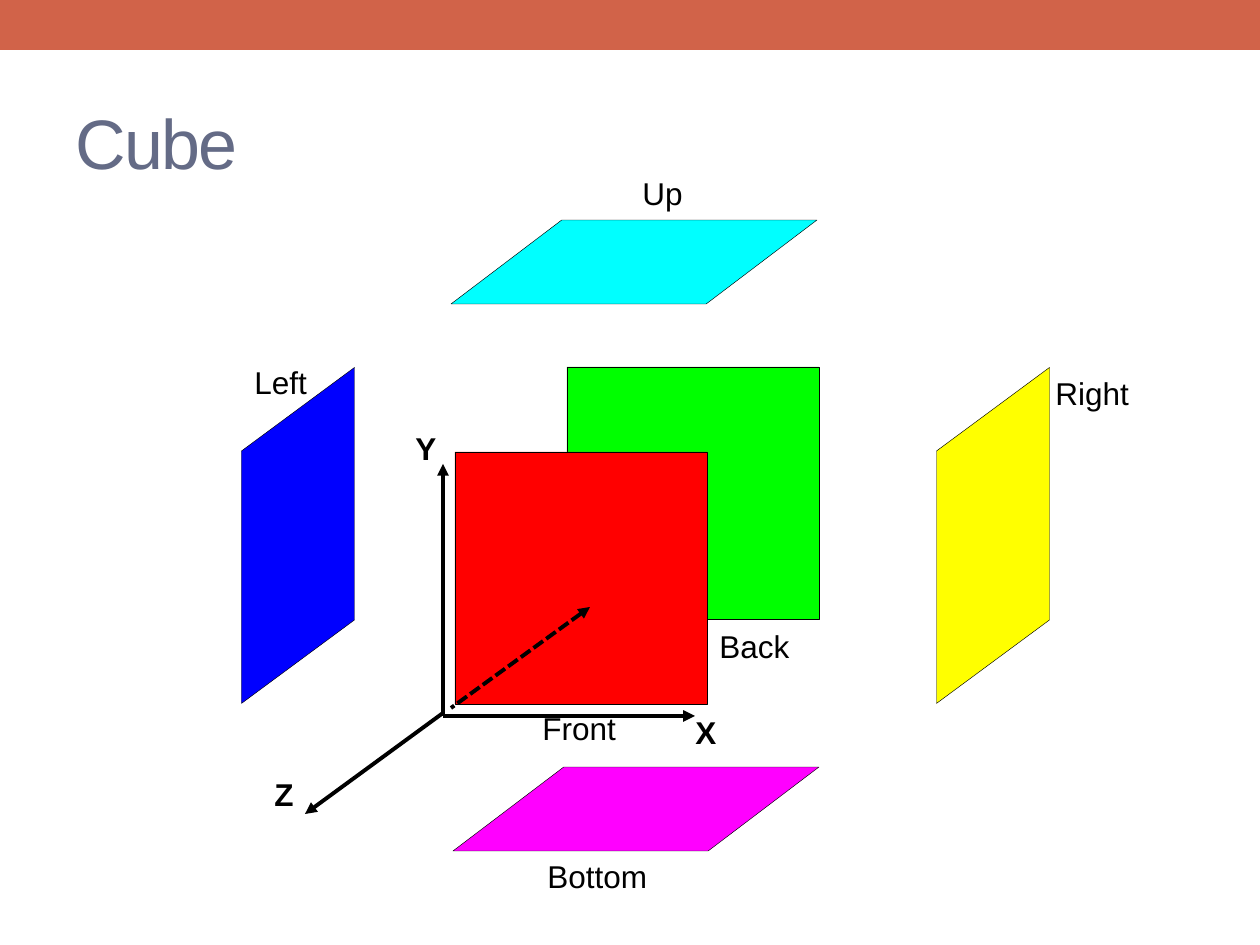
"""Build the slide that shows the six faces of a cube and its axes."""
import pptx
import pptx.dml.color
import pptx.enum.dml
import pptx.enum.shapes
import pptx.enum.text
import pptx.oxml
import pptx.oxml.ns
import pptx.util

RGB = pptx.dml.color.RGBColor
SHAPE = pptx.enum.shapes.MSO_SHAPE
BLACK = RGB(0x00, 0x00, 0x00)
RUST = RGB(0xD1, 0x63, 0x49)
SLATE = RGB(0x64, 0x6B, 0x86)
BLUE = RGB(0x00, 0x00, 0xFF)
GREEN = RGB(0x00, 0xFF, 0x00)
CYAN = RGB(0x00, 0xFF, 0xFF)
MAGENTA = RGB(0xFF, 0x00, 0xFF)
RED = RGB(0xFF, 0x00, 0x00)
YELLOW = RGB(0xFF, 0xFF, 0x00)


class Canvas:
    FONT = "Arial"
    SCALE = 914400 / 126

    def __init__(self, prs):
        self.slide = prs.slides.add_slide(prs.slide_layouts[6])

    def emu(self, *lengths):
        return [pptx.util.Emu(round(n * self.SCALE)) for n in lengths]

    def shape(self, kind, box, fill, outlined=True):
        sp = self.slide.shapes.add_shape(kind, *self.emu(*box))
        sp.shadow.inherit = False
        sp.fill.solid()
        sp.fill.fore_color.rgb = fill
        if outlined:
            sp.line.color.rgb = BLACK
            sp.line.width = pptx.util.Pt(0.25)
        else:
            sp.line.fill.background()
        return sp

    def level_face(self, x, y, fill):
        sp = self.shape(SHAPE.PARALLELOGRAM, (x, y, 366, 84), fill)
        sp.adjustments[0] = 1.319

    def side_face(self, x, fill):
        sp = self.shape(SHAPE.PARALLELOGRAM, (x, 479, 336, 113), fill)
        sp.adjustments[0] = 0.739
        sp.rotation = 270
        sp._element.spPr.get_or_add_xfrm().set("flipV", "1")

    def square_face(self, x, y, fill):
        self.shape(SHAPE.RECTANGLE, (x, y, 252, 252), fill)

    def arrow(self, start, stop, end="tailEnd", dash=None):
        line = self.slide.shapes.add_connector(
            pptx.enum.shapes.MSO_CONNECTOR.STRAIGHT, *self.emu(*start, *stop))
        line.line.color.rgb = BLACK
        line.line.width = pptx.util.Pt(2.25)
        if dash:
            line.line.dash_style = dash
        tip = pptx.oxml.parse_xml(
            f'<a:{end} {pptx.oxml.ns.nsdecls("a")} type="triangle"/>')
        line.line._get_or_add_ln().append(tip)
        line._element.spPr.append(pptx.oxml.parse_xml(
            f'<a:effectLst {pptx.oxml.ns.nsdecls("a")}/>'))

    def text(self, words, box, size=18, color=BLACK, bold=False):
        sp = self.slide.shapes.add_textbox(*self.emu(*box))
        tf = sp.text_frame
        tf.word_wrap = True
        p = tf.paragraphs[0]
        p.text = words
        p.font.name = self.FONT
        p.font.size = pptx.util.Pt(size)
        p.font.bold = bold
        p.font.color.rgb = color
        return tf

    def title(self, words):
        tf = self.text(words, (63, 73, 1134, 136), 40, SLATE)
        tf.vertical_anchor = pptx.enum.text.MSO_ANCHOR.MIDDLE
        r = tf.paragraphs[0].runs[0]
        r.font._element.set("spc", "-100")

    def label(self, words, x, y, width, bold=False):
        tf = self.text(words, (x, y, width, 50), bold=bold)
        tf.auto_size = pptx.enum.text.MSO_AUTO_SIZE.SHAPE_TO_FIT_TEXT


def main():
    prs = pptx.Presentation()
    prs.slide_width = pptx.util.Inches(10)
    prs.slide_height = pptx.util.Inches(7.5)
    s = Canvas(prs)

    s.shape(SHAPE.RECTANGLE, (0, 0, 1260, 50), RUST, outlined=False)
    s.side_face(130, BLUE)
    s.square_face(567, 367, GREEN)
    s.title("Cube")
    s.level_face(451, 220, CYAN)
    s.level_face(453, 767, MAGENTA)
    s.square_face(455, 452, RED)
    s.side_face(825, YELLOW)

    s.arrow((443, 716), (443, 464))
    s.arrow((443, 716), (695, 716))
    s.arrow((443, 713), (305, 814))
    s.arrow((590, 607), (451, 708), "headEnd",
            pptx.enum.dml.MSO_LINE.SQUARE_DOT)

    for axis, x, y in (("Y", 403, 423), ("X", 683, 707), ("Z", 262, 769)):
        s.label(axis, x, y, 38, bold=True)
    for face, x, y, width in (
        ("Front", 530, 703, 101),
        ("Left", 242, 357, 88),
        ("Back", 707, 621, 101),
        ("Up", 630, 168, 76),
        ("Right", 1043, 368, 101),
        ("Bottom", 535, 851, 126),
    ):
        s.label(face, x, y, width)

    prs.save("out.pptx")


if __name__ == "__main__":
    main()
